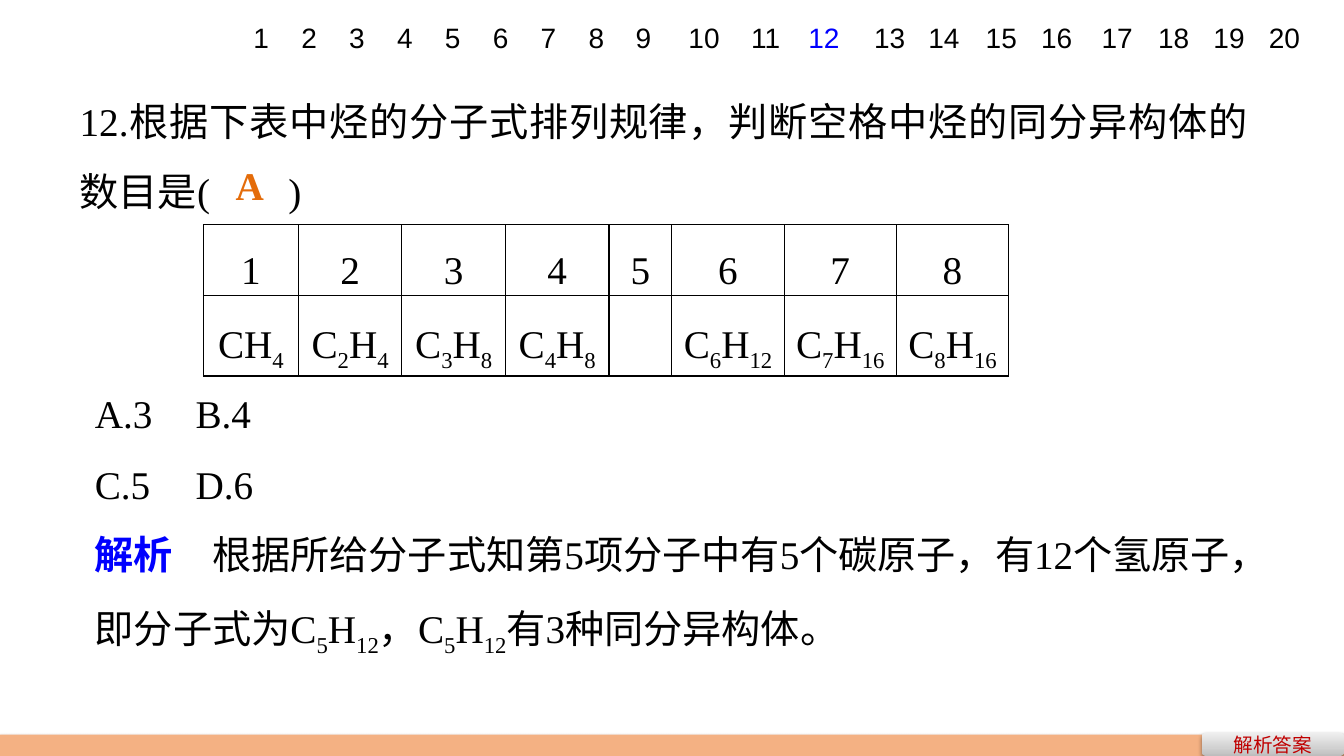
import itertools

import pptx
import pptx.dml.color
import pptx.enum.shapes
import pptx.enum.text
import pptx.oxml.ns
import pptx.oxml.xmlchemy
import pptx.util

Pt = pptx.util.Pt
qn = pptx.oxml.ns.qn
ALIGN = pptx.enum.text.PP_ALIGN
ANCHOR = pptx.enum.text.MSO_ANCHOR
SHAPE = pptx.enum.shapes.MSO_SHAPE

COLORS = {"text": "000000", "accent": "0000FF", "answer": "E46C0A",
          "bar": "F4B183", "button": "C00000", "low": "BDBDBD",
          "mid": "D1D1D1", "high": "EEEEEE"}
BUTTON_STOPS = [(0, "low"), (35, "mid"), (100, "high")]
SERIF, SANS, CJK = "Times New Roman", "Arial", "Noto Sans CJK SC"
BODY = {"size": Pt(28), "name": SERIF, "bold": False}
PARA = {"line_spacing": 1.5, "space_before": Pt(0), "space_after": Pt(0)}


def rgb(key):
    return pptx.dml.color.RGBColor.from_string(COLORS[key])


def xml(tag, **attrs):
    el = pptx.oxml.xmlchemy.OxmlElement(tag)
    for name, value in attrs.items():
        el.set(name, str(value))
    return el


def set_attrs(obj, values):
    for name, value in values.items():
        setattr(obj, name, value)


def add_run(p, text, fmt, color="text", sub=False):
    r = p.add_run()
    r.text = text
    set_attrs(r.font, fmt)
    r.font.color.rgb = rgb(color)
    rPr = r._r.get_or_add_rPr()
    rPr.append(xml("a:ea", typeface=CJK))
    if sub:
        rPr.set("baseline", "-25000")


def add_formula(p, formula):
    """Write the digits of a formula as subscripts."""
    for is_digit, chars in itertools.groupby(formula, str.isdigit):
        add_run(p, "".join(chars), BODY, sub=is_digit)


def place(sp, box):
    set_attrs(sp, dict(zip(("left", "top", "width", "height"), map(Pt, box))))


def setup_frame(sp, margins, anchor, wrap):
    tf = sp.text_frame
    x, y = map(Pt, margins)
    set_attrs(tf, {"word_wrap": wrap, "vertical_anchor": anchor,
                   "auto_size": pptx.enum.text.MSO_AUTO_SIZE.NONE,
                   "margin_left": x, "margin_right": x,
                   "margin_top": y, "margin_bottom": y})
    return tf


def add_label(slide, box, text, fmt, color, margins=(7.2, 3.6),
              anchor=ANCHOR.TOP, align=ALIGN.LEFT):
    sp = slide.shapes.add_textbox(*map(Pt, box))
    p = setup_frame(sp, margins, anchor, False).paragraphs[0]
    p.alignment = align
    add_run(p, text, fmt, color)


# Question in the title placeholder, with the answer in its brackets
def add_question(slide, box):
    sp = slide.shapes.title
    place(sp, box)
    p = setup_frame(sp, (7.2, 3.6), ANCHOR.TOP, True).paragraphs[0]
    set_attrs(p, {**PARA, "alignment": ALIGN.JUSTIFY})
    add_run(p, "12.根据下表中烃的分子式排列规律，判断空格中烃的同分异构体的数目是(　　)", BODY)
    left, top = box[:2]
    add_label(slide, (left + 111.6, top + 62.6, 35.3, 41), "A",
              {**BODY, "bold": True}, "answer")


# Table of formulas
def add_formula_table(slide, box):
    formulas = ["CH4", "C2H4", "C3H8", "C4H8", "", "C6H12", "C7H16", "C8H16"]
    widths = [67.7, 74, 74, 74, 44.9, 80.2, 80.2, 80.2]
    table = slide.shapes.add_table(2, len(formulas), *map(Pt, box)).table
    table.first_row = table.horz_banding = False
    for col, width in zip(table.columns, widths):
        col.width = Pt(width)
    for row, height in zip(table.rows, (50.4, 57.6)):
        row.height = Pt(height)
    for j, formula in enumerate(formulas):
        for i in range(2):
            cell = table.cell(i, j)
            set_attrs(cell, {"margin_left": Pt(5), "margin_right": Pt(5),
                             "margin_top": 0, "margin_bottom": 0,
                             "vertical_anchor": ANCHOR.MIDDLE})
            p = cell.text_frame.paragraphs[0]
            set_attrs(p, {**PARA, "alignment": ALIGN.CENTER})
            if i == 0:
                add_run(p, str(j + 1), BODY)
            else:
                add_formula(p, formula)
            set_borders(cell)


def set_borders(cell):
    tcPr = cell._tc.get_or_add_tcPr()
    for side in ("a:lnL", "a:lnR", "a:lnT", "a:lnB"):
        ln = xml(side, w=Pt(1))
        fill = xml("a:solidFill")
        fill.append(xml("a:srgbClr", val=COLORS["text"]))
        ln.append(fill)
        tcPr.append(ln)
    cell.fill.background()


# Options and explanation in the body placeholder
def add_options(slide, box):
    sp = slide.placeholders[1]
    place(sp, box)
    tf = setup_frame(sp, (7.2, 3.6), ANCHOR.TOP, True)
    paras = [tf.paragraphs[0], tf.add_paragraph(), tf.add_paragraph()]
    for p in paras:
        pPr = p._p.get_or_add_pPr()
        pPr.set("marL", "0")
        pPr.set("indent", "0")
        pPr.append(xml("a:buNone"))
        tabs = xml("a:tabLst")
        tabs.append(xml("a:tab", pos=Pt(288), algn="l"))
        pPr.append(tabs)
        set_attrs(p, {**PARA, "alignment": ALIGN.LEFT})
    for p, text in zip(paras, ("A.3\tB.4", "C.5\tD.6")):
        add_run(p, text, BODY)
    p = paras[2]
    add_run(p, "解析　", {**BODY, "bold": True}, "accent")
    add_run(p, "根据所给分子式知第5项分子中有5个碳原子，有12个氢原子，即分子式为", BODY)
    add_formula(p, "C5H12")
    add_run(p, "，", BODY)
    add_formula(p, "C5H12")
    add_run(p, "有3种同分异构体。", BODY)


# Row of question numbers, each aligned to its right edge
def add_navigation(slide, box, current):
    left, top, _, height = box
    rights = [28.1 + 34.2 * n for n in range(8)]
    rights += [301, 350, 393.2, 435.6, 482.6, 521.3, 562.3, 601.9, 645.1,
               685.4, 725, 764.6]
    for n, right in enumerate(rights, 1):
        width = 28.1 if n < 9 else 42
        add_label(slide, (left + right - width, top, width, height), str(n),
                  {"size": Pt(20), "name": SANS},
                  "accent" if n == current else "text",
                  (9.4, 5), ANCHOR.MIDDLE, ALIGN.RIGHT)


# Footer bar and answer button
def add_block(slide, kind, box):
    sp = slide.shapes.add_shape(kind, *map(Pt, box))
    sp.fill.solid()
    sp.fill.fore_color.rgb = rgb("bar")
    sp.line.fill.background()
    sp.shadow.inherit = False
    shadow = xml("a:outerShdw", blurRad=Pt(3.1), dist=Pt(1.6), dir=5400000,
                 rotWithShape=0)
    clr = xml("a:srgbClr", val=COLORS["text"])
    clr.append(xml("a:alpha", val=38000))
    shadow.append(clr)
    sp._element.spPr.find(qn("a:effectLst")).append(shadow)
    return sp


def add_footer(slide, box):
    left, top, width, height = box
    add_block(slide, SHAPE.RECTANGLE, (left, top + 1.4, width, height - 1.4))
    sp = add_block(slide, SHAPE.ROUNDED_RECTANGLE,
                   (left + width - 101.5, top, 101.5, height))
    sp.fill.gradient()
    grad = sp._element.spPr.find(qn("a:gradFill"))
    stops = grad.find(qn("a:gsLst"))
    for gs in list(stops):
        stops.remove(gs)
    for pos, color in BUTTON_STOPS:
        gs = xml("a:gs", pos=pos * 1000)
        gs.append(xml("a:srgbClr", val=COLORS[color]))
        stops.append(gs)
    grad.find(qn("a:lin")).set("ang", "16200000")
    p = setup_frame(sp, (7.2, 3.6), ANCHOR.MIDDLE, True).paragraphs[0]
    p.alignment = ALIGN.CENTER
    add_run(p, "解析答案", {"size": Pt(14), "name": CJK}, "button")


def main():
    prs = pptx.Presentation()
    prs.slide_width, prs.slide_height = Pt(960), Pt(540)
    slide = prs.slides.add_slide(prs.slide_layouts[1])
    add_question(slide, (49.7, 49, 849.6, 103))
    add_formula_table(slide, (145.4, 160.6, 575.2, 108))
    add_options(slide, (60.5, 257.8, 849.6, 211))
    add_navigation(slide, (173.5, 3.6, 764.6, 45.4), 12)
    add_footer(slide, (0, 523.4, 960, 16.6))
    prs.save("out.pptx")


if __name__ == "__main__":
    main()
